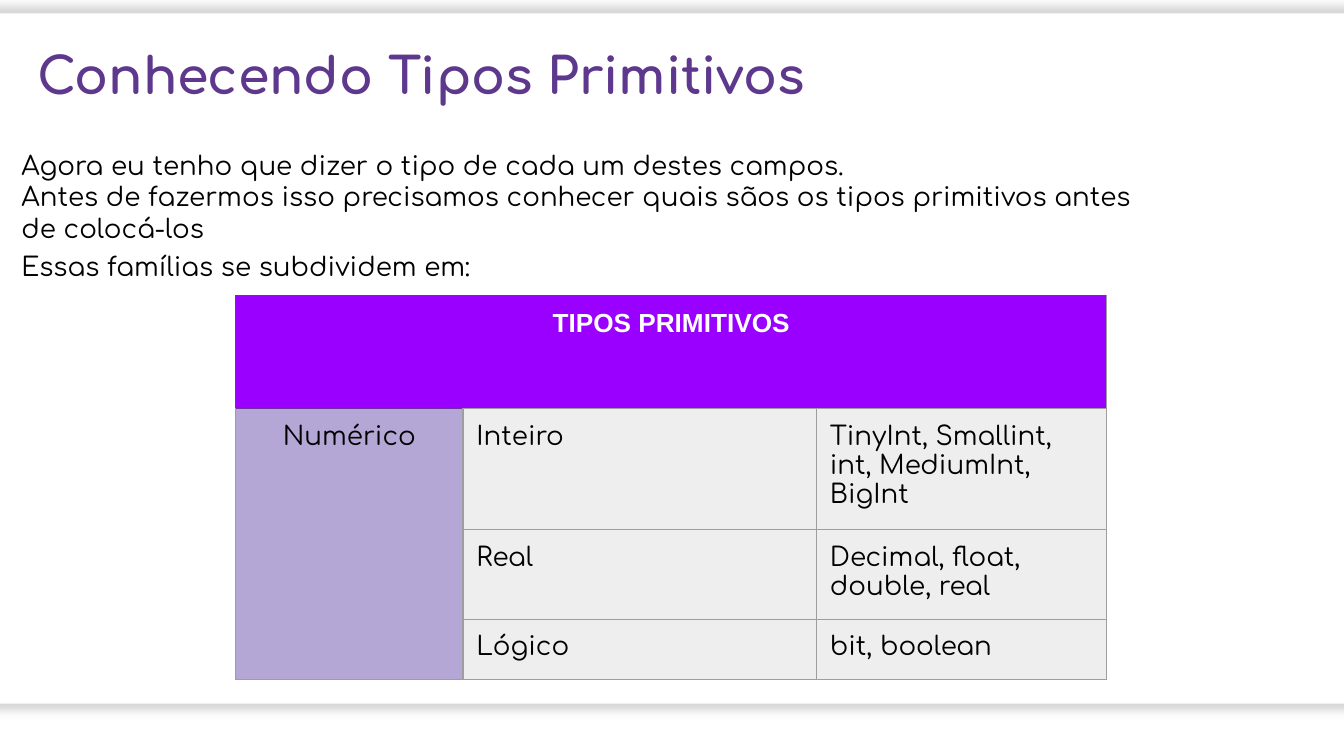
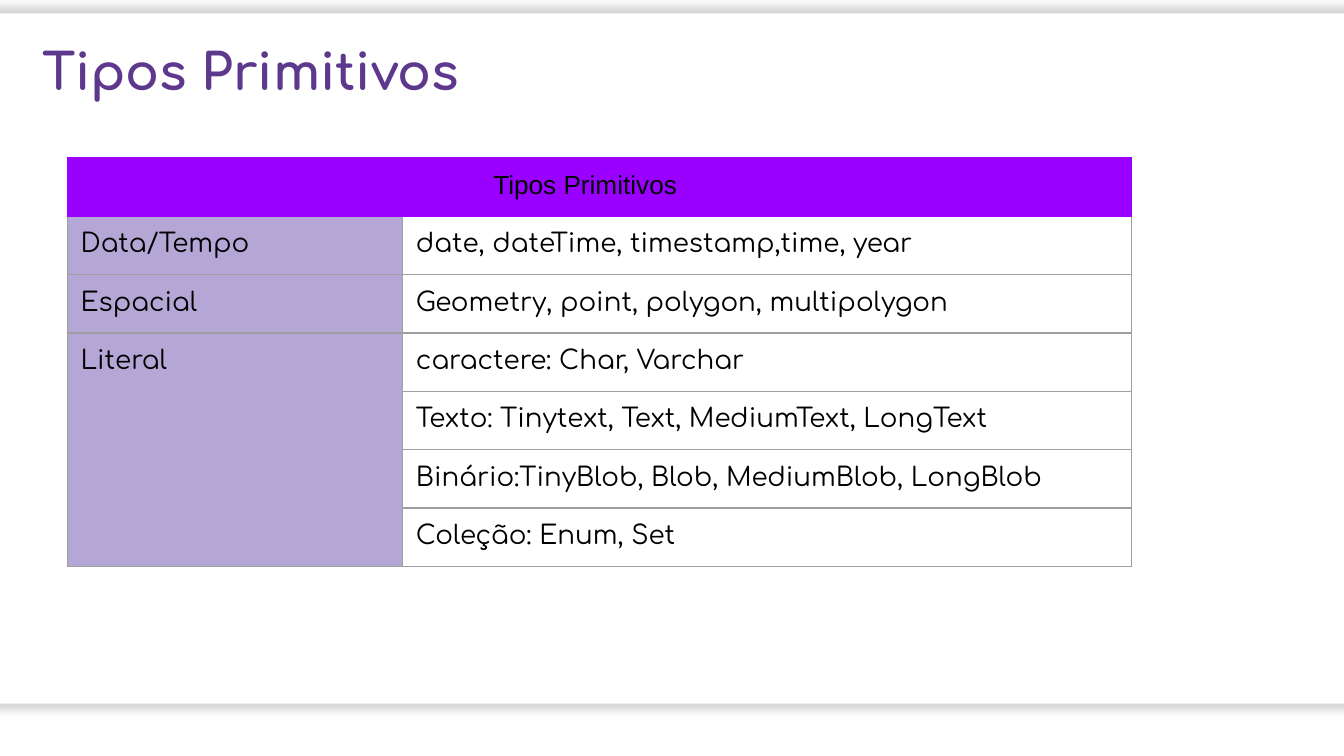
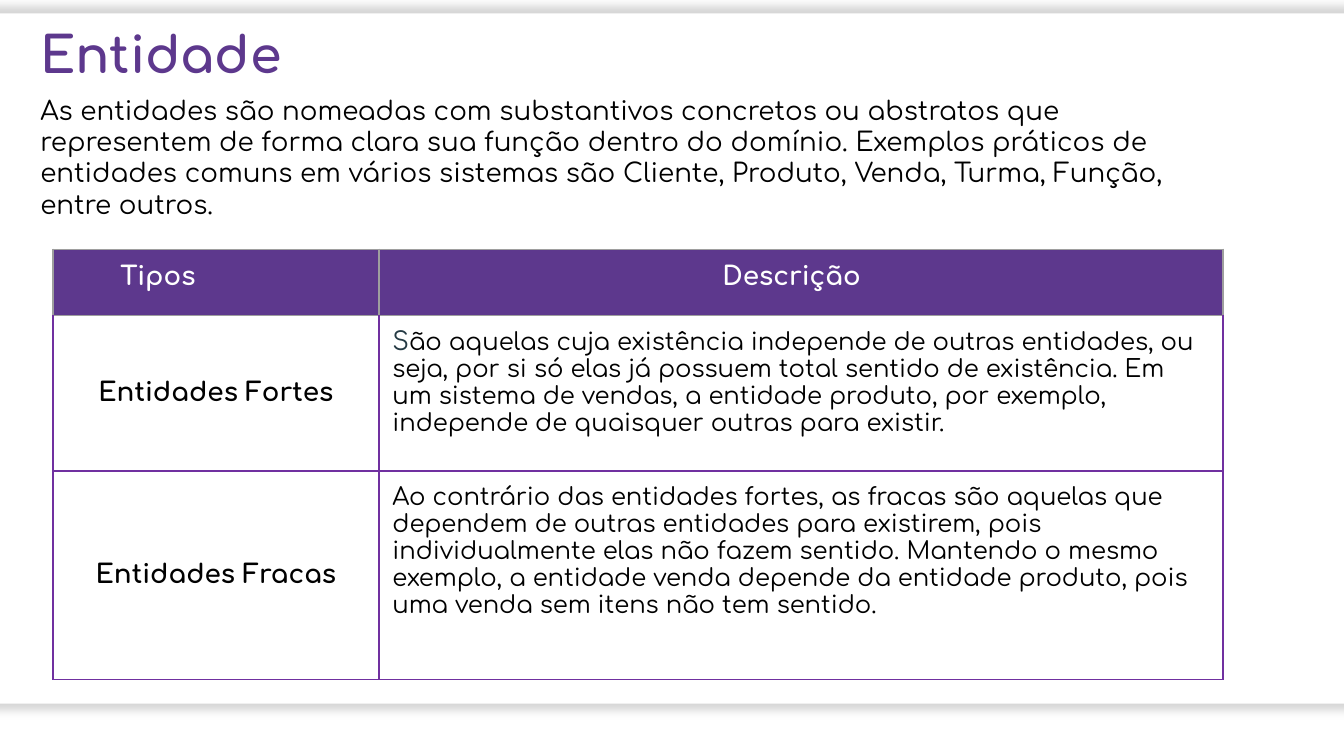
import dataclasses

import lxml.etree
import pptx
import pptx.dml.color
import pptx.enum.shapes
import pptx.enum.text
import pptx.oxml.ns
import pptx.util

# The slide is a grid of 100 columns and 56.25 rows of square units.
UNIT = pptx.util.Inches(0.1)
SLIDE_COLUMNS = 100
SLIDE_ROWS = 56.25

RGBColor = pptx.dml.color.RGBColor
WHITE = RGBColor(0xFF, 0xFF, 0xFF)
BLACK = RGBColor(0x00, 0x00, 0x00)
SLATE = RGBColor(0x25, 0x3A, 0x44)
TITLE_PURPLE = RGBColor(0x5D, 0x38, 0x8D)
HEADER_VIOLET = RGBColor(0x99, 0x00, 0xFF)
FAMILY_LILAC = RGBColor(0xB4, 0xA7, 0xD6)
CELL_GRAY = RGBColor(0xEE, 0xEE, 0xEE)
BORDER_GRAY = RGBColor(0x9E, 0x9E, 0x9E)
BORDER_PURPLE = RGBColor(0x70, 0x30, 0xA0)

MAIN_FONT = "Comfortaa"
HEADER_FONT = "Arial"
CENTER = pptx.enum.text.PP_ALIGN.CENTER
LEFT = pptx.enum.text.PP_ALIGN.LEFT

TITLE_AND_BODY_LAYOUT = 1
TITLE_ONLY_LAYOUT = 5


@dataclasses.dataclass
class Box:
    """A rectangle measured in grid units."""
    left: float
    top: float
    width: float
    height: float

    def lengths(self):
        return [units(value) for value in dataclasses.astuple(self)]


@dataclasses.dataclass
class TextStyle:
    size: float = 14
    color: RGBColor = BLACK
    bold: bool = False
    font: str = MAIN_FONT


BODY_STYLE = TextStyle()
TITLE_STYLE = TextStyle(27, TITLE_PURPLE, True)
STRONG_STYLE = TextStyle(bold=True)
DESCRIPTION_STYLE = TextStyle(13)


def units(count):
    return pptx.util.Emu(round(count * UNIT))


def add_element(parent, tag, **attributes):
    return lxml.etree.SubElement(parent, pptx.oxml.ns.qn(tag), attributes)


def add_run(paragraph, text, style):
    run = paragraph.add_run()
    run.text = text
    run.font.name = style.font
    run.font.size = pptx.util.Pt(style.size)
    run.font.bold = style.bold
    run.font.color.rgb = style.color


def indent_paragraph(paragraph, indent):
    properties = paragraph._p.get_or_add_pPr()
    properties.set("marL", str(units(indent)))
    properties.set("indent", "0")
    return properties


def set_margins(target):
    target.margin_left = target.margin_right = UNIT
    target.margin_top = target.margin_bottom = UNIT


def write_text(shape, box, lines, style=BODY_STYLE, indent=0):
    """Place a text shape in the box and write one plain paragraph a line."""
    shape.left, shape.top, shape.width, shape.height = box.lengths()
    frame = shape.text_frame
    frame.word_wrap = True
    frame.auto_size = pptx.enum.text.MSO_AUTO_SIZE.SHAPE_TO_FIT_TEXT
    frame.vertical_anchor = pptx.enum.text.MSO_ANCHOR.TOP
    set_margins(frame)
    for index, line in enumerate(lines):
        paragraph = frame.add_paragraph() if index else frame.paragraphs[0]
        add_element(indent_paragraph(paragraph, indent), "a:buNone")
        paragraph.alignment = LEFT
        paragraph.line_spacing = 1.0
        paragraph.space_before = paragraph.space_after = pptx.util.Pt(0)
        add_run(paragraph, line, style)


def add_titled_slide(presentation, layout_index, title, box, indent=0):
    slide = presentation.slides.add_slide(presentation.slide_layouts[layout_index])
    write_text(slide.shapes.title, box, [title], TITLE_STYLE, indent)
    return slide


def add_table(slide, box, column_widths, row_heights):
    """Add an unstyled table at the top left of the box."""
    size = len(row_heights), len(column_widths)
    table = slide.shapes.add_table(*size, *box.lengths()).table
    table.first_row = table.horz_banding = False
    for column, width in zip(table.columns, column_widths):
        column.width = units(width)
    for row, height in zip(table.rows, row_heights):
        row.height = units(height)
    return table


def style_cell(cell, fill=None, left=BORDER_GRAY, right=BORDER_GRAY,
               top=BORDER_GRAY, bottom=BORDER_GRAY):
    set_margins(cell)
    if fill is None:
        cell.fill.background()
    else:
        cell.fill.solid()
        cell.fill.fore_color.rgb = fill
    properties = cell._tc.get_or_add_tcPr()
    edges = {"a:lnL": left, "a:lnR": right, "a:lnT": top, "a:lnB": bottom}
    for index, (tag, color) in enumerate(edges.items()):
        line = add_element(properties, tag, w=str(pptx.util.Pt(0.75)))
        add_element(add_element(line, "a:solidFill"), "a:srgbClr", val=str(color))
        properties.insert(index, line)


def write_cell(cell, runs, alignment=LEFT, indent=0):
    """Write (text, style) runs into the cell."""
    paragraph = cell.text_frame.paragraphs[0]
    indent_paragraph(paragraph, indent)
    paragraph.alignment = alignment
    for text, style in runs:
        add_run(paragraph, text, style)


def add_band_to_master(presentation, slide):
    """Draw the white band with a soft shadow behind every slide's content."""
    box = Box(0, 1, SLIDE_COLUMNS, 51.35)
    band = slide.shapes.add_shape(
        pptx.enum.shapes.MSO_SHAPE.RECTANGLE, *box.lengths())
    band.fill.solid()
    band.fill.fore_color.rgb = WHITE
    band.line.fill.background()
    band.shadow.inherit = False
    effects = band.element.spPr.find(pptx.oxml.ns.qn("a:effectLst"))
    shadow = add_element(effects, "a:outerShdw", blurRad=str(pptx.util.Pt(5)),
                         dist="0", dir="0", sx="102000", sy="102000",
                         algn="ctr", rotWithShape="0")
    color = add_element(shadow, "a:srgbClr", val=str(BLACK))
    add_element(color, "a:alpha", val="16000")
    presentation.slide_master.element.cSld.spTree.insert(2, band.element)


def add_numeric_types_table(slide, box):
    table = add_table(slide, box, [16.9, 26.3, 21.6], [8.4, 9, 6.6, 4.5])
    kinds = [
        ("Inteiro", "TinyInt, Smallint, int, MediumInt, BigInt"),
        ("Real", "Decimal, float, double, real"),
        ("Lógico", "bit, boolean"),
    ]
    header, family = table.cell(0, 0), table.cell(1, 0)
    header.merge(table.cell(0, 2))
    family.merge(table.cell(3, 0))
    for column in range(3):
        style_cell(table.cell(0, column), HEADER_VIOLET, left=BORDER_PURPLE,
                   top=BORDER_PURPLE, bottom=BORDER_PURPLE)
    header_style = TextStyle(color=WHITE, bold=True, font=HEADER_FONT)
    write_cell(header, [("TIPOS PRIMITIVOS", header_style)], CENTER)
    write_cell(family, [("Numérico", BODY_STYLE)], CENTER)
    for row, kind in enumerate(kinds, start=1):
        style_cell(table.cell(row, 0), FAMILY_LILAC,
                   top=BORDER_PURPLE if row == 1 else BORDER_GRAY)
        for column, text in enumerate(kind, start=1):
            style_cell(table.cell(row, column), CELL_GRAY)
            write_cell(table.cell(row, column), [(text, BODY_STYLE)])


def add_other_types_tables(slide, box):
    """Stack the table of type families and its one-cell header table."""
    header_height = 4.4
    families = [
        ("Data/Tempo", "date, dateTime, timestamp,time, year"),
        ("Espacial", "Geometry, point, polygon, multipolygon"),
        ("Literal", "caractere: Char, Varchar"),
        ("", "Texto: Tinytext, Text, MediumText, LongText"),
        ("", "Binário:TinyBlob, Blob, MediumBlob, LongBlob"),
        ("", "Coleção: Enum, Set"),
    ]
    rows_box = Box(box.left, box.top + header_height, box.width,
                   box.height - header_height)
    row_height = rows_box.height / len(families)
    table = add_table(slide, rows_box, [24.95, box.width - 24.95],
                      [row_height] * len(families))
    table.cell(2, 0).merge(table.cell(5, 0))
    for row, family in enumerate(families):
        for column, (text, fill) in enumerate(zip(family, (FAMILY_LILAC, None))):
            style_cell(table.cell(row, column), fill)
            if text:
                write_cell(table.cell(row, column), [(text, BODY_STYLE)])

    header = add_table(slide, Box(box.left, box.top, box.width, header_height),
                       [box.width], [header_height]).cell(0, 0)
    style_cell(header, *[HEADER_VIOLET] * 5)
    write_cell(header, [("Tipos Primitivos", TextStyle(font=HEADER_FONT))], indent=30.7)


def add_entity_table(slide, box):
    table = add_table(slide, box, [24.25, 62.8], [4.9, 11.6, 15.5])
    header_style = TextStyle(color=WHITE, bold=True)
    for column, (text, indent) in enumerate([("Tipos", 4), ("Descrição", 24.55)]):
        style_cell(table.cell(0, column), TITLE_PURPLE)
        write_cell(table.cell(0, column), [(text, header_style)], indent=indent)
    entities = [
        ("Entidades Fortes", [
            ("S", TextStyle(13.5, SLATE)),
            ("ão aquelas cuja existência independe de outras entidades, ou seja, "
             "por si só elas já possuem total sentido de existência. Em um sistema "
             "de vendas, a entidade produto, por exemplo, independe de quaisquer "
             "outras para existir.", DESCRIPTION_STYLE)]),
        ("Entidades Fracas", [
            ("Ao contrário das entidades fortes, as fracas são aquelas que dependem "
             "de outras entidades para existirem, pois individualmente elas não "
             "fazem sentido. Mantendo o mesmo exemplo, a entidade venda depende da "
             "entidade produto, pois uma venda sem itens não tem sentido.",
             DESCRIPTION_STYLE)]),
    ]
    for row, (name, description) in enumerate(entities, start=1):
        for column in range(2):
            style_cell(table.cell(row, column), left=BORDER_PURPLE,
                       right=BORDER_PURPLE, bottom=BORDER_PURPLE,
                       top=BORDER_GRAY if row == 1 else BORDER_PURPLE)
        name_cell = table.cell(row, 0)
        name_cell.vertical_anchor = pptx.enum.text.MSO_ANCHOR.MIDDLE
        write_cell(name_cell, [(name, STRONG_STYLE)], CENTER)
        write_cell(table.cell(row, 1), description)


def add_numeric_types_slide(presentation):
    slide = add_titled_slide(presentation, TITLE_AND_BODY_LAYOUT,
                             "Conhecendo Tipos Primitivos", Box(1.8, 2.3, 73.5, 6.6))
    write_text(slide.placeholders[1], Box(0.6, 10.1, 85, 9.1), [
        "Agora eu tenho que dizer o tipo de cada um destes campos.",
        "Antes de fazermos isso precisamos conhecer quais sãos os tipos "
        "primitivos antes de colocá-los",
    ])
    subdivision_box = Box(0.6, 17.6, 38.1, 4.4)
    subdivision = slide.shapes.add_textbox(*subdivision_box.lengths())
    write_text(subdivision, subdivision_box, ["Essas famílias se subdividem em:"])
    add_numeric_types_table(slide, Box(17.55, 22, 64.8, 28.5))
    return slide


def add_other_types_slide(presentation):
    slide = add_titled_slide(presentation, TITLE_ONLY_LAYOUT, "Tipos Primitivos",
                             Box(1.1, 2, 78.1, 6.6), indent=1.05)
    add_other_types_tables(slide, Box(5, 11.7, 79.2, 30.3))


def add_entity_slide(presentation):
    slide = add_titled_slide(presentation, TITLE_AND_BODY_LAYOUT, "Entidade",
                             Box(2, 0.7, 32.8, 6.6))
    write_text(slide.placeholders[1], Box(2, 6, 91, 11.4), [
        "As entidades são nomeadas com substantivos concretos ou abstratos que "
        "representem de forma clara sua função dentro do domínio. Exemplos "
        "práticos de entidades comuns em vários sistemas são Cliente, Produto, "
        "Venda, Turma, Função, entre outros.",
    ])
    add_entity_table(slide, Box(3.95, 18.55, 87.05, 32))


def main():
    presentation = pptx.Presentation()
    presentation.slide_width = units(SLIDE_COLUMNS)
    presentation.slide_height = units(SLIDE_ROWS)
    first_slide = add_numeric_types_slide(presentation)
    add_band_to_master(presentation, first_slide)
    add_other_types_slide(presentation)
    add_entity_slide(presentation)
    presentation.save("out.pptx")


if __name__ == "__main__":
    main()
